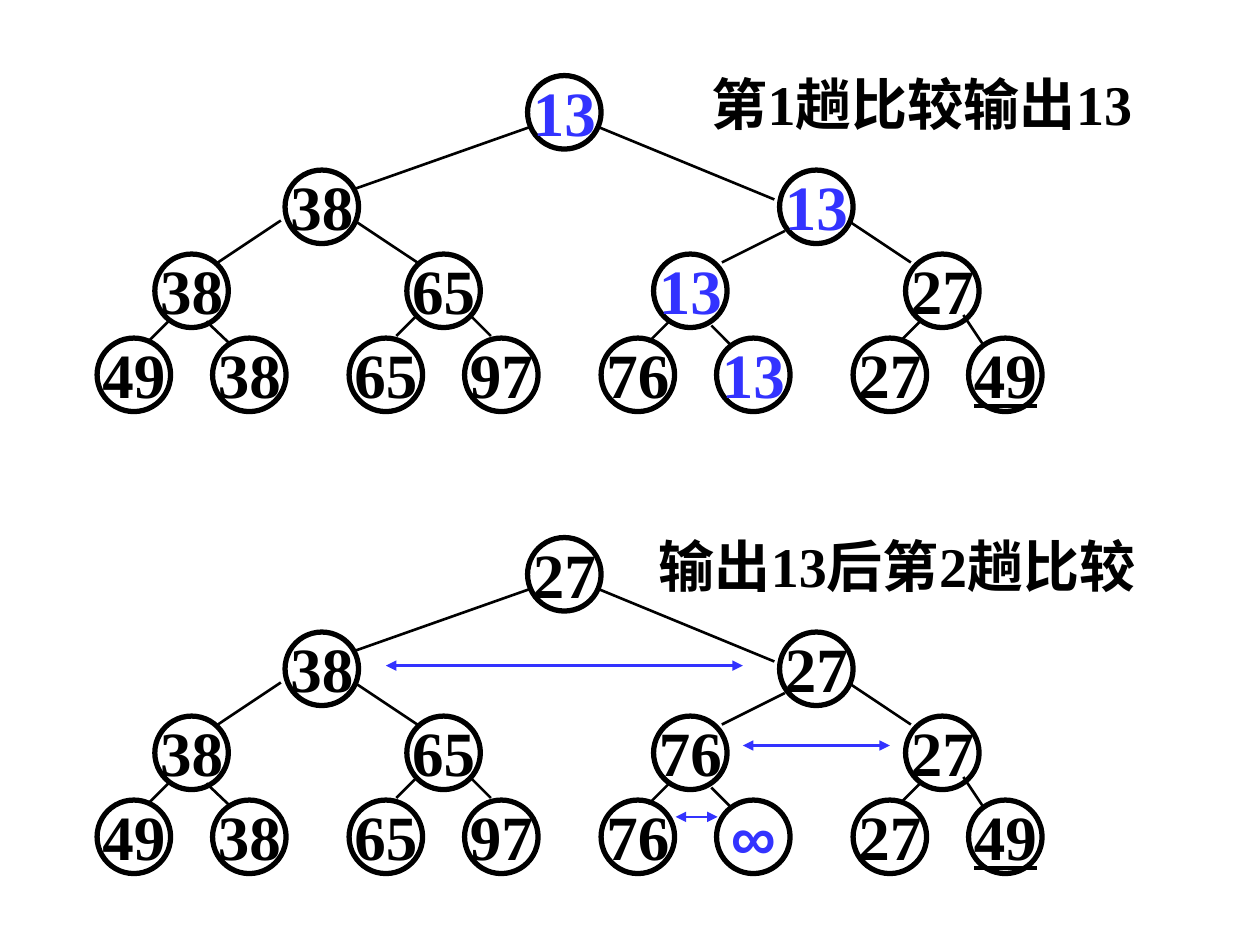
from lxml import etree
from pptx import Presentation
from pptx.dml.color import RGBColor
from pptx.enum.shapes import MSO_CONNECTOR, MSO_SHAPE
from pptx.enum.text import MSO_AUTO_SIZE, PP_ALIGN
from pptx.oxml.ns import qn
from pptx.util import Inches, Pt

ELLIPSE, STRAIGHT = MSO_SHAPE.OVAL, MSO_CONNECTOR.STRAIGHT
CENTER, LEFT = PP_ALIGN.CENTER, PP_ALIGN.LEFT
BLACK = RGBColor(0x00, 0x00, 0x00)
BLUE = RGBColor(0x33, 0x33, 0xFF)

# The slide is a grid of 120 columns by 90 rows of equal size.
SLIDE_WIDTH, SLIDE_HEIGHT = Inches(10), Inches(7.5)
UNIT = SLIDE_WIDTH / 120

TREE_LEFT, FIRST_TOP, TREE_STEP = 9.25, 7.2, 44
NODE = 7
LEVEL_TOPS = (0, 9, 17, 25)
LEVEL_LEFTS = (
    (41,),
    (17.9, 65),
    (5.5, 29.5, 53, 77),
    [24 * pair + 11 * side for pair in range(4) for side in (0, 1)],
)
# Start column and row, end column and row, inside the tree's box
BRANCHES = (
    (41.5, 4.8, 24.5, 10.8), (47.5, 4.8, 64.5, 11.8),
    (17.5, 13.8, 11.5, 17.8), (24.5, 13.8, 30.5, 17.8),
    (65.5, 14.8, 59.5, 17.8), (71.5, 13.8, 77.5, 17.8),
    (10.4, 23.4, 12.5, 25.4), (35.5, 22.8, 37.5, 24.8),
    (58.5, 23.8, 60.5, 25.8), (82.5, 22.8, 84.5, 25.8),
    (6.8, 23.4, 4.8, 25.4), (30.5, 22.8, 28.5, 24.8),
    (54.5, 23.4, 52.5, 25.4), (78.5, 23.3, 76.5, 25.3),
)

ROUNDS = (
    {
        "levels": ("13", "38 13", "38 65 13 27", "49 38 65 97 76 13 27 49"),
        "winner": "13",
        "comparisons": (),
        "caption": ("第1趟比较输出13", 55.4, 46.3, CENTER),
    },
    {
        "levels": ("27", "38 27", "38 65 76 27", "49 38 65 97 76 ∞ 27 49"),
        "winner": "∞",
        "comparisons": ((55.1, 26.6, 59.1, 26.6), (61.5, 19.8, 75.5, 19.8),
                        (27.5, 12.2, 61.5, 12.2)),
        "caption": ("输出13后第2趟比较", 52.3, 52.9, LEFT),
    },
)


def grid(*cells):
    return [round(cell * UNIT) for cell in cells]


def add_label(slide, box, text, align=CENTER, margins=(0, 0), **font_format):
    """Write one unwrapped bold line in a box given in grid cells."""
    label = slide.shapes.add_textbox(*grid(*box))
    frame = label.text_frame
    side, edge = (Inches(margin) for margin in margins)
    frame_format = {
        "margin_left": side, "margin_right": side,
        "margin_top": edge, "margin_bottom": edge,
        "word_wrap": False, "auto_size": MSO_AUTO_SIZE.SHAPE_TO_FIT_TEXT,
    }
    for name, value in frame_format.items():
        setattr(frame, name, value)
    paragraph = frame.paragraphs[0]
    paragraph.alignment = align
    run = paragraph.add_run()
    run.text = text
    color = font_format.pop("color", BLACK)
    defaults = {"name": "Times New Roman", "size": Pt(36), "bold": True}
    for name, value in (defaults | font_format).items():
        setattr(run.font, name, value)
    run.font.color.rgb = color


def add_node(slide, left, top, key, is_winner, is_second_equal):
    circle = slide.shapes.add_shape(ELLIPSE, *grid(left, top, NODE, NODE))
    circle.shadow.inherit = False
    circle.fill.background()
    circle.line.color.rgb = BLACK
    circle.line.width = Pt(3)

    font_format = {"color": BLUE if is_winner else BLACK}
    if is_second_equal:
        font_format["underline"] = True
    if key == "∞":
        font_format["name"] = "Arial"
    width = 4.6 if key == "∞" else 6
    add_label(slide, (left + (NODE - width) / 2, top - 0.2, width, 7.2),
              key, **font_format)


def add_line(slide, left, top, ends, color, arrows=False):
    x1, y1, x2, y2 = ends
    line = slide.shapes.add_connector(
        STRAIGHT, *grid(left + x1, top + y1, left + x2, top + y2))
    line.line.color.rgb = color
    line.line.width = Pt(1.5)
    properties = line.line._get_or_add_ln()
    if arrows:
        for end in ("a:headEnd", "a:tailEnd"):
            etree.SubElement(properties, qn(end), type="triangle")
    etree.SubElement(properties.getparent(), qn("a:effectLst"))


def add_tree(slide, left, top, levels, winner, comparisons, caption):
    """Draw one round of the selection tree from its top left corner."""
    for level_top, lefts, keys in zip(LEVEL_TOPS, LEVEL_LEFTS, levels):
        seen = set()
        for node_left, key in zip(lefts, keys.split()):
            add_node(slide, left + node_left, top + level_top, key,
                     key == winner, key in seen)
            seen.add(key)
    for branch in BRANCHES:
        add_line(slide, left, top, branch, BLACK)
    for comparison in comparisons:
        add_line(slide, left, top, comparison, BLUE, arrows=True)
    text, caption_left, width, align = caption
    add_label(slide, (left + caption_left, top - 1.2, width, 7.7), text,
              align, margins=(0.1, 0.05), size=Pt(32))


def main():
    deck = Presentation()
    deck.slide_width, deck.slide_height = SLIDE_WIDTH, SLIDE_HEIGHT
    slide = deck.slides.add_slide(deck.slide_layouts[6])
    for index, tree in enumerate(ROUNDS):
        add_tree(slide, TREE_LEFT, FIRST_TOP + index * TREE_STEP, **tree)
    deck.save("out.pptx")


if __name__ == "__main__":
    main()
